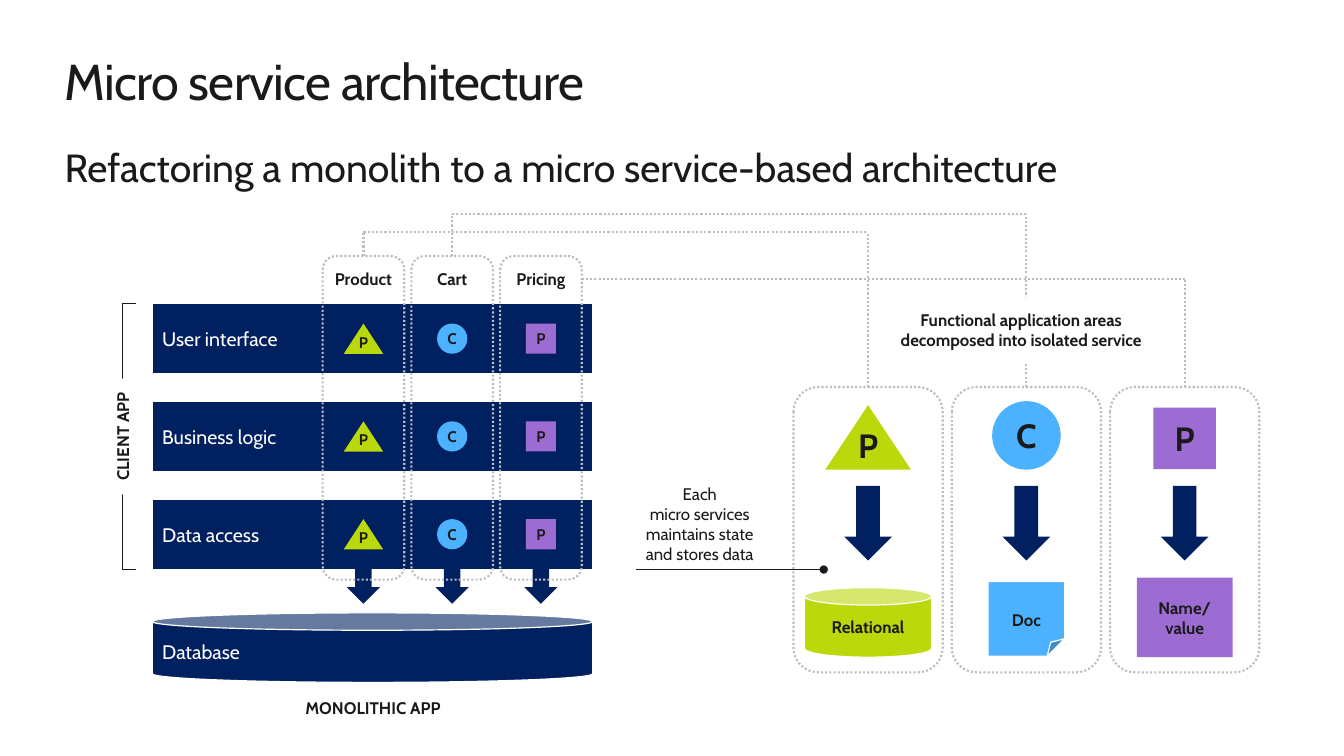
from lxml import etree
from pptx import Presentation
from pptx.dml.color import RGBColor
from pptx.enum import dml, shapes, text
from pptx.oxml.ns import qn
from pptx.util import Inches, Pt

FONT = "Cabin"
INK = RGBColor(0x1A, 0x1A, 0x1A)
WHITE = RGBColor(0xFF, 0xFF, 0xFF)
NAVY = RGBColor(0x00, 0x20, 0x60)
GREY = RGBColor(0xBD, 0xBD, 0xBD)
LIME = RGBColor(0xBA, 0xD8, 0x0A)
BLUE = RGBColor(0x4C, 0xB1, 0xFF)
PURPLE = RGBColor(0x9C, 0x6C, 0xD2)

KIND = shapes.MSO_SHAPE
LEFT, CENTER = text.PP_ALIGN.LEFT, text.PP_ALIGN.CENTER
TOP, MIDDLE = text.MSO_ANCHOR.TOP, text.MSO_ANCHOR.MIDDLE
INSETS = (0.1, 0.05, 0.1, 0.05)
NO_INSETS = (0, 0, 0, 0)

TITLE = "Micro service architecture"
SUBTITLE = "Refactoring a monolith to a micro service-based architecture"
LAYERS = ["User interface", "Business logic", "Data access"]
SERVICES = [
    {"name": "Product", "letter": "P", "kind": KIND.ISOSCELES_TRIANGLE, "colour": LIME,
     "small": (0.39, 0.3), "large": (0.85, 0.64), "large_middle": 4.34, "drop": 0.12,
     "store": "Relational", "store_kind": KIND.CAN, "store_size": (1.26, 0.69),
     "store_top": 5.83, "store_line": WHITE, "store_insets": INSETS},
    {"name": "Cart", "letter": "C", "kind": KIND.FLOWCHART_CONNECTOR, "colour": BLUE,
     "small": (0.3, 0.3), "large": (0.68, 0.68), "large_middle": 4.32, "drop": 0,
     "store": "Doc", "store_kind": KIND.FOLDED_CORNER, "store_size": (0.76, 0.74),
     "store_top": 5.77, "store_line": WHITE, "store_insets": (0, 0.2, 0, 0)},
    {"name": "Pricing", "letter": "P", "kind": KIND.RECTANGLE, "colour": PURPLE,
     "small": (0.3, 0.3), "large": (0.62, 0.61), "large_middle": 4.35, "drop": 0,
     "store": "Name/\nvalue", "store_kind": KIND.RECTANGLE, "store_size": (0.95, 0.79),
     "store_top": 5.73, "store_line": None, "store_insets": INSETS},
]
AREAS_NOTE = "Functional application areas\ndecomposed into isolated service"
STATE_NOTE = "Each\nmicro services maintains state and stores data"

LAYER_LEFT, LAYER_TOP, LAYER_STEP = 1.51, 3.01, 0.97
LAYER_WIDTH, LAYER_HEIGHT = 4.37, 0.7
COLUMN_LEFT, COLUMN_TOP, COLUMN_STEP = 3.2, 2.54, 0.88
COLUMN_WIDTH, COLUMN_HEIGHT = 0.81, 3.21
CARD_LEFT, CARD_TOP, CARD_STEP = 7.87, 3.84, 1.57
CARD_WIDTH, CARD_HEIGHT = 1.48, 2.83
LAYER_TOPS = [LAYER_TOP + i * LAYER_STEP for i in range(len(LAYERS))]
COLUMN_CENTERS = [COLUMN_LEFT + i * COLUMN_STEP + COLUMN_WIDTH / 2 for i in range(3)]
CARD_CENTERS = [CARD_LEFT + i * CARD_STEP + CARD_WIDTH / 2 for i in range(3)]
BRACKET_X, BRACKET_BOTTOM = 1.22, 5.65
ROUTES = [2.3, 2.12, 2.77]

presentation = Presentation()
presentation.slide_width = Inches(13.33)
presentation.slide_height = Inches(7.5)
slide = presentation.slides.add_slide(presentation.slide_layouts[6])


def write(shape, words, size, colour=INK, bold=False, align=CENTER,
          anchor=MIDDLE, insets=INSETS, wrap=True):
    frame = shape.text_frame
    frame.text = words
    frame.word_wrap = wrap
    frame.vertical_anchor = anchor
    (frame.margin_left, frame.margin_top,
     frame.margin_right, frame.margin_bottom) = map(Inches, insets)
    for paragraph in frame.paragraphs:
        paragraph.alignment = align
        for run in paragraph.runs:
            run.font.name = FONT
            run.font.size = Pt(size)
            run.font.bold = bold
            run.font.color.rgb = colour


def add_text(box, words, size, **style):
    shape = slide.shapes.add_textbox(*map(Inches, box))
    write(shape, words, size, **style)
    return shape


def add_block(kind, box, fill=None, line=None, width=0.85, dotted=False):
    shape = slide.shapes.add_shape(kind, *map(Inches, box))
    shape.shadow.inherit = False
    if fill is None:
        shape.fill.background()
    else:
        shape.fill.solid()
        shape.fill.fore_color.rgb = fill
    if line is None:
        shape.line.fill.background()
    else:
        shape.line.color.rgb = line
        shape.line.width = Pt(width)
        if dotted:
            shape.line.dash_style = dml.MSO_LINE.ROUND_DOT
    return shape


def add_line(start, end, colour=INK, width=0.75, dotted=False):
    line = slide.shapes.add_connector(
        shapes.MSO_CONNECTOR.STRAIGHT, *map(Inches, (*start, *end)))
    line.line.color.rgb = colour
    line.line.width = Pt(width)
    if dotted:
        line.line.dash_style = dml.MSO_LINE.ROUND_DOT
    etree.SubElement(line._element.spPr, qn("a:effectLst"))
    return line


def add_route(start, end):
    return add_line(start, end, GREY, 1.5, True)


def add_frame(box):
    return add_block(KIND.ROUNDED_RECTANGLE, box, line=GREY, width=1.5, dotted=True)


def add_icon(service, center, middle, size, letter_size, letter_box):
    width, height = size
    add_block(service["kind"], (center - width / 2, middle - height / 2, width, height),
              service["colour"])
    box_width, box_height = letter_box
    top = middle + service["drop"] * height - box_height / 2
    add_text((center - box_width / 2, top, box_width, box_height), service["letter"],
             letter_size, bold=True, anchor=TOP, insets=NO_INSETS, wrap=False)


title = add_text((0.64, 0.5, 12.05, 0.61), TITLE, 36, align=LEFT, anchor=TOP, insets=NO_INSETS)
title.text_frame.paragraphs[0].runs[0]._r.get_or_add_rPr().set("spc", "-50")
add_text((0.64, 1.42, 11.24, 0.47), SUBTITLE, 28, align=LEFT, anchor=TOP, insets=NO_INSETS)

for layer, top in zip(LAYERS, LAYER_TOPS):
    bar = add_block(KIND.RECTANGLE, (LAYER_LEFT, top, LAYER_WIDTH, LAYER_HEIGHT), NAVY, WHITE)
    write(bar, layer, 14, WHITE, align=LEFT)
database = add_block(KIND.CAN, (LAYER_LEFT, 6.08, LAYER_WIDTH, 0.69), NAVY, WHITE)
write(database, "Database", 14, WHITE, align=LEFT)

columns = []
for service, center in zip(SERVICES, COLUMN_CENTERS):
    add_text((center - 0.45, 2.62, 0.9, 0.3), service["name"], 12, bold=True, anchor=TOP)
    for top in LAYER_TOPS:
        add_icon(service, center, top + LAYER_HEIGHT / 2, service["small"], 11, (0.1, 0.19))
    add_block(KIND.DOWN_ARROW, (center - 0.33 / 2, 5.58, 0.33, 0.41), NAVY)
    columns.append(add_frame((center - COLUMN_WIDTH / 2, COLUMN_TOP, COLUMN_WIDTH, COLUMN_HEIGHT)))

cards = []
for service, center in zip(SERVICES, CARD_CENTERS):
    width, height = service["store_size"]
    store = add_block(service["store_kind"],
                      (center - width / 2, service["store_top"], width, height),
                      service["colour"], service["store_line"])
    if service["store_kind"] == KIND.FOLDED_CORNER:
        guides = store._element.spPr.find(qn("a:prstGeom")).get_or_add_avLst()
        etree.SubElement(guides, qn("a:gd"), name="adj", fmla="val 23400")
    write(store, service["store"], 12, bold=True, insets=service["store_insets"])
    add_block(KIND.DOWN_ARROW, (center - 0.47 / 2, 4.82, 0.47, 0.74), NAVY)
    add_icon(service, center, service["large_middle"], service["large"], 24, (0.21, 0.4))
    cards.append(add_frame((center - CARD_WIDTH / 2, CARD_TOP, CARD_WIDTH, CARD_HEIGHT)))

for y in (LAYER_TOP, BRACKET_BOTTOM):
    add_line((1.35, y), (BRACKET_X, y))
add_line((BRACKET_X, LAYER_TOP), (BRACKET_X, BRACKET_BOTTOM))
client = add_block(KIND.RECTANGLE, (0.64, 4.23, 1.15, 0.2), WHITE)
client.rotation = 270
write(client, "CLIENT APP", 12, bold=True, anchor=TOP, insets=NO_INSETS)

pointer = add_line((6.31, BRACKET_BOTTOM), (8.17, BRACKET_BOTTOM))
etree.SubElement(pointer.line._get_or_add_ln(), qn("a:tailEnd"), type="oval")
add_text((6.2, 4.75, 1.48, 0.89), STATE_NOTE, 12)

for column, card, center, target, y in zip(columns, cards, COLUMN_CENTERS, CARD_CENTERS, ROUTES):
    start = center
    if y < COLUMN_TOP:
        add_route((center, COLUMN_TOP), (center, y)).begin_connect(column, 0)
    else:
        start = center + COLUMN_WIDTH / 2
    add_route((start, y), (target, y))
    add_route((target, CARD_TOP), (target, y)).begin_connect(card, 0)

areas = add_block(KIND.ROUNDED_RECTANGLE, (8.68, 2.95, 2.9, 0.64), WHITE)
write(areas, AREAS_NOTE, 12, bold=True)
monolith = add_block(KIND.RECTANGLE, (2.89, 6.92, 1.62, 0.2), WHITE)
write(monolith, "MONOLITHIC APP", 12, bold=True, anchor=TOP, insets=NO_INSETS)

presentation.save("out.pptx")
